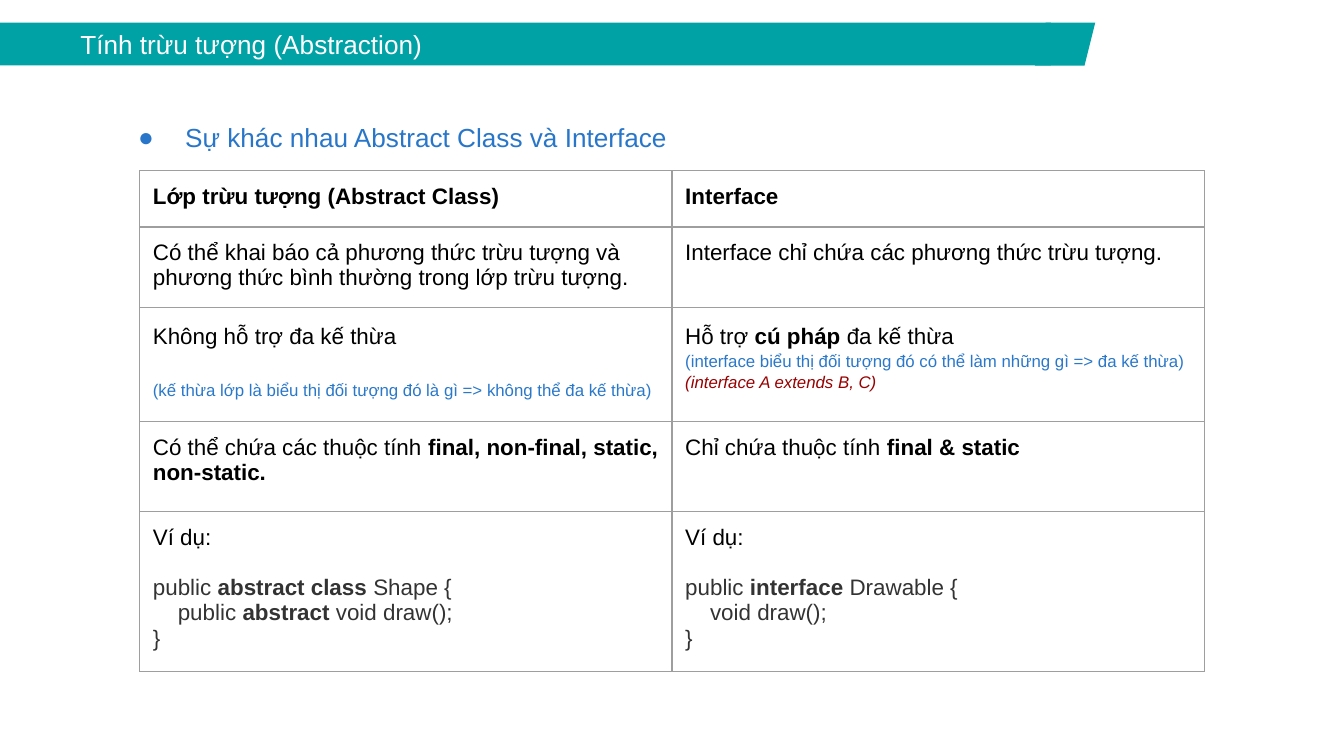
from lxml.etree import SubElement
from pptx import Presentation
from pptx.dml.color import RGBColor
from pptx.enum.shapes import MSO_SHAPE as Preset
from pptx.enum.text import MSO_ANCHOR as Anchor, PP_ALIGN as Align
from pptx.oxml.ns import qn
from pptx.util import Cm, Pt

COLORS = {"teal": "01A2A6", "white": "FFFFFF", "black": "000000", "blue": "2876C9",
          "note": "2A78CA", "red": "980000", "code": "333333", "grid": "9E9E9E"}
INSETS = {f"margin_{side}": Cm(0.25) for side in ("left", "right", "top", "bottom")}
BODY = {"color": "black", "size": Pt(12)}
HEAD = BODY | {"bold": True}
LOOSE = BODY | {"line_spacing": 1.15}
NOTE = LOOSE | {"color": "note", "size": Pt(9)}
SYNTAX = NOTE | {"color": "red", "italic": True}
CODE = BODY | {"color": "code"}
CODE_TOP = CODE | {"space_before": Pt(13.8)}
CODE_INNER = CODE | {"margin": 0.47}
TITLE = {"color": "white", "size": Pt(14), "indent": 1.27}
SUBTITLE = {"color": "blue", "size": Pt(14), "margin": 1.27, "indent": -0.89,
            "line_spacing": 2.0, "space_before": Pt(10)}

ROWS = [
    (1.06, [(HEAD, "Lớp trừu tượng (Abstract Class)")], [(HEAD, "Interface")]),
    (1.46, [(BODY, "Có thể khai báo cả phương thức trừu tượng và "
                   "phương thức bình thường trong lớp trừu tượng.")],
     [(BODY, "Interface chỉ chứa các phương thức trừu tượng.")]),
    (2.16, [(LOOSE, "Không hỗ trợ đa kế thừa"),
            (NOTE | {"space_before": Pt(15.9)},
             "(kế thừa lớp là biểu thị đối tượng đó là gì => không thể đa kế thừa)")],
     [(LOOSE, "Hỗ trợ *cú pháp* đa kế thừa"),
      (NOTE, "(interface biểu thị đối tượng đó có thể làm những gì => đa kế thừa)"),
      (SYNTAX, "(interface A extends B, C)")]),
    (1.7, [(BODY, "Có thể chứa các thuộc tính *final, non-final, static, non-static.*")],
     [(BODY, "Chỉ chứa thuộc tính *final & static*")]),
    (2.88, [(BODY, "Ví dụ:"), (CODE_TOP, "public *abstract class* Shape {"),
            (CODE_INNER, "public *abstract* void draw();"), (CODE, "}")],
     [(BODY, "Ví dụ:"), (CODE_TOP, "public *interface* Drawable {"),
      (CODE_INNER, "void draw();"), (CODE, "}")]),
]


def set_all(target, values):
    """Set every attribute named in values on target."""
    for name, value in values.items():
        setattr(target, name, value)


def paint(shape, color):
    """Give a shape a flat fill with no line and no shadow."""
    shape.shadow.inherit = False
    shape.fill.solid()
    shape.fill.fore_color.rgb = RGBColor.from_string(COLORS[color])
    shape.line.fill.background()


def write(frame, lines):
    """Write styled lines into a text frame; words between asterisks are bold."""
    for index, (style, text) in enumerate(lines):
        para = frame.add_paragraph() if index else frame.paragraphs[0]
        spacing = {"line_spacing": 1.0, "space_before": Pt(0)}
        set_all(para, {"alignment": Align.LEFT}
                | {key: style.get(key, value) for key, value in spacing.items()})
        props = para._p.get_or_add_pPr()
        props.set("marL", str(Cm(style.get("margin", 0))))
        props.set("indent", str(Cm(style.get("indent", 0))))
        for part, words in enumerate(text.split("*")):
            if words:
                span = para.add_run()
                span.text = words
                set_all(span.font, {"name": "Arial", "size": style["size"],
                                    "bold": style.get("bold", part % 2 == 1),
                                    "italic": style.get("italic", False)})
                span.font.color.rgb = RGBColor.from_string(COLORS[style["color"]])


def add_banner(page, box, title):
    """Draw the title bar with its slanted right end."""
    left, top, width, height = box
    slant = 1.14
    bar = page.shapes.add_shape(Preset.RECTANGLE, Cm(left), Cm(top),
                                Cm(width - 0.84), Cm(height))
    tip = page.shapes.add_shape(Preset.PARALLELOGRAM, Cm(left + width - slant), Cm(top),
                                Cm(slant), Cm(height))
    for shape in (bar, tip):
        paint(shape, "teal")
    set_all(bar.text_frame, INSETS | {"word_wrap": True, "vertical_anchor": Anchor.MIDDLE})
    write(bar.text_frame, [(TITLE, title)])


def add_subtitle(page, box, text):
    """Add the bulleted line above the table."""
    frame = page.shapes.add_textbox(*map(Cm, box)).text_frame
    set_all(frame, INSETS | {"word_wrap": True})
    write(frame, [(SUBTITLE, text)])
    props = frame.paragraphs[0]._p.get_or_add_pPr()
    SubElement(SubElement(props, qn("a:buClr")), qn("a:srgbClr"), val=COLORS["blue"])
    SubElement(props, qn("a:buFont"), typeface="Arial")
    SubElement(props, qn("a:buChar"), char="●")


def add_borders(cell):
    """Rule all four sides of a table cell."""
    props = cell._tc.get_or_add_tcPr()
    for side in ("lnL", "lnR", "lnT", "lnB"):
        line = SubElement(props, qn(f"a:{side}"), w=str(Pt(0.75)))
        fill = SubElement(line, qn("a:solidFill"))
        SubElement(fill, qn("a:srgbClr"), val=COLORS["grid"])


def add_comparison(page, box, rows):
    """Fill a two-column table whose rows carry their own heights."""
    table = page.shapes.add_table(len(rows), 2, *map(Cm, box)).table
    set_all(table, {"first_row": False, "horz_banding": False})
    for column in table.columns:
        column.width = Cm(box[2] / 2)
    for row, (height, *contents) in zip(table.rows, rows):
        row.height = Cm(height)
        for cell, lines in zip(row.cells, contents):
            set_all(cell, INSETS)
            add_borders(cell)
            cell.fill.background()
            write(cell.text_frame, lines)


def main():
    """Build the slide and save the deck."""
    deck = Presentation()
    set_all(deck, {"slide_width": Cm(25.4), "slide_height": Cm(14.29)})
    page = deck.slides.add_slide(deck.slide_layouts[6])
    add_banner(page, (0, 0.43, 20.7, 0.81), "Tính trừu tượng (Abstraction)")
    add_subtitle(page, (1.98, 1.45, 19.25, 1.63), "Sự khác nhau Abstract Class và Interface")
    add_comparison(page, (2.64, 3.23, 20.12, sum(row[0] for row in ROWS)), ROWS)
    deck.save("out.pptx")


main()
